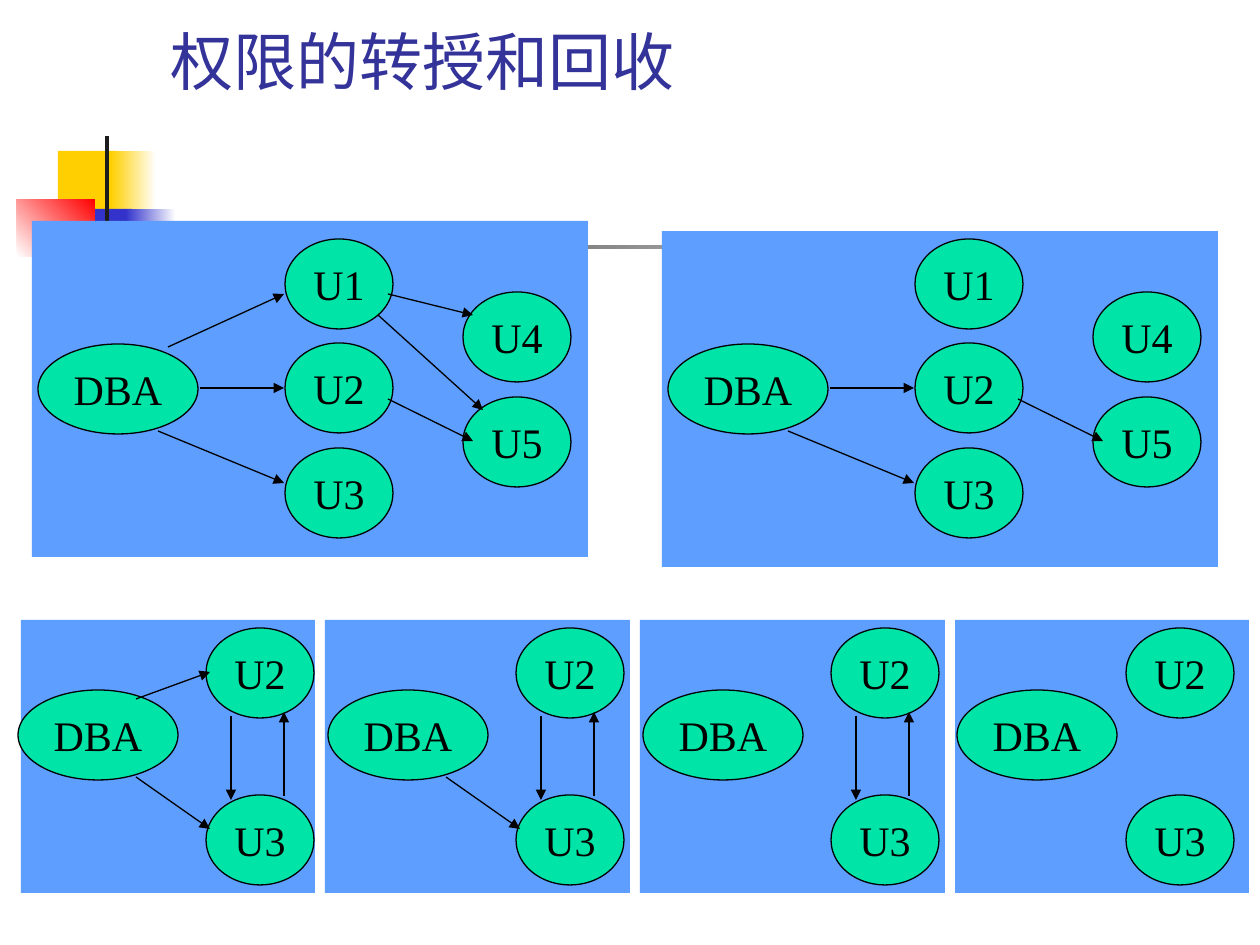
from dataclasses import dataclass

import pptx
import pptx.dml.color
import pptx.enum.dml
import pptx.enum.shapes
import pptx.enum.text
import pptx.oxml.ns
import pptx.util
from lxml import etree

RGBColor = pptx.dml.color.RGBColor
WHITE = RGBColor(0xFF, 0xFF, 0xFF)
BLACK = RGBColor(0x00, 0x00, 0x00)
CHARCOAL = RGBColor(0x1C, 0x1C, 0x1C)
YELLOW = RGBColor(0xFF, 0xCF, 0x01)
BLUE = RGBColor(0x33, 0x33, 0xCC)
RED = RGBColor(0xFF, 0x00, 0x00)
PANEL_BLUE = RGBColor(0x5E, 0x9E, 0xFF)
NODE_GREEN = RGBColor(0x00, 0xE4, 0xA8)
TITLE_BLUE = RGBColor(0x33, 0x33, 0x99)

PX_PER_INCH = 126
NODE_HEIGHT = 90
DBA_WIDTH = 160
USER_WIDTH = 108
LINE_WIDTH = pptx.util.Pt(0.75)


@dataclass(frozen=True)
class Box:
    left: int
    top: int
    width: int
    height: int


@dataclass(frozen=True)
class Decoration:
    box: Box
    start: RGBColor
    end: RGBColor | None = None
    angle: int = 0


@dataclass(frozen=True)
class Node:
    name: str
    left: int
    top: int


@dataclass(frozen=True)
class Arrow:
    start_x: int
    start_y: int
    end_x: int
    end_y: int


@dataclass(frozen=True)
class Diagram:
    """A panel and its grant graph; offsets shift the graph from the first one in its row."""
    panel: Box
    nodes: tuple[Node, ...]
    arrows: tuple[Arrow, ...]
    offset: int = 0
    user_offset: int = 0


DECORATIONS = (
    Decoration(Box(58, 151, 60, 66), YELLOW),
    Decoration(Box(111, 151, 45, 66), YELLOW, WHITE),
    Decoration(Box(74, 209, 58, 66), BLUE),
    Decoration(Box(126, 209, 50, 66), BLUE, WHITE),
    Decoration(Box(17, 199, 78, 58), WHITE, RED, 45),
    Decoration(Box(105, 136, 4, 145), CHARCOAL),
    Decoration(Box(60, 245, 1134, 4), CHARCOAL, WHITE),
)

TREE_NODES = (
    Node("DBA", 38, 344),
    Node("U1", 285, 239),
    Node("U2", 285, 343),
    Node("U3", 285, 448),
    Node("U4", 463, 292),
    Node("U5", 463, 397),
)
TREE_DBA_U1 = Arrow(168, 347, 284, 294)
TREE_DBA_U2 = Arrow(200, 388, 284, 388)
TREE_DBA_U3 = Arrow(158, 431, 284, 483)
TREE_U1_U4 = Arrow(388, 294, 473, 315)
TREE_U2_U5 = Arrow(388, 399, 473, 441)
TREE_U1_U5 = Arrow(378, 315, 483, 410)
TREE_KEPT = (TREE_DBA_U2, TREE_DBA_U3, TREE_U2_U5)

CYCLE_NODES = (Node("DBA", 18, 690), Node("U2", 206, 628), Node("U3", 206, 795))
CYCLE_DBA_U3 = Arrow(136, 777, 210, 829)
CYCLE_DBA_U2 = Arrow(136, 699, 210, 672)
CYCLE_MUTUAL = (Arrow(231, 716, 231, 800), Arrow(284, 796, 284, 712))

DIAGRAMS = (
    Diagram(Box(32, 221, 556, 336), TREE_NODES,
            (TREE_DBA_U1, TREE_U1_U4, TREE_U1_U5) + TREE_KEPT),
    Diagram(Box(662, 231, 556, 336), TREE_NODES, TREE_KEPT, 630),
    Diagram(Box(21, 620, 294, 273), CYCLE_NODES,
            (CYCLE_DBA_U3, CYCLE_DBA_U2) + CYCLE_MUTUAL),
    Diagram(Box(325, 620, 305, 273), CYCLE_NODES, (CYCLE_DBA_U3,) + CYCLE_MUTUAL, 310),
    Diagram(Box(640, 620, 305, 273), CYCLE_NODES, CYCLE_MUTUAL, 625),
    Diagram(Box(955, 620, 294, 273), CYCLE_NODES, (), 939, -19),
)


def emu(px: int) -> int:
    return round(px * pptx.util.Inches(1) / PX_PER_INCH)


def add_plain_shape(shapes, kind, box: Box, color: RGBColor):
    shape = shapes.add_shape(
        kind, emu(box.left), emu(box.top), emu(box.width), emu(box.height))
    shape.shadow.inherit = False
    shape.fill.solid()
    shape.fill.fore_color.rgb = color
    shape.line.fill.background()
    return shape


def add_rectangle(shapes, box: Box, color: RGBColor):
    return add_plain_shape(shapes, pptx.enum.shapes.MSO_SHAPE.RECTANGLE, box, color)


def add_decoration(shapes, decoration: Decoration) -> None:
    shape = add_rectangle(shapes, decoration.box, decoration.start)
    if decoration.end is not None:
        shape.fill.gradient()
        shape.fill.gradient_angle = decoration.angle
        colors = (decoration.start, decoration.end)
        for stop, color in zip(shape.fill.gradient_stops, colors):
            stop.color.rgb = color


def add_node(shapes, node: Node, offset: int, user_offset: int) -> None:
    is_dba = node.name == "DBA"
    left = node.left + offset + (0 if is_dba else user_offset)
    width = DBA_WIDTH if is_dba else USER_WIDTH
    box = Box(left, node.top, width, NODE_HEIGHT)
    shape = add_plain_shape(shapes, pptx.enum.shapes.MSO_SHAPE.OVAL, box, NODE_GREEN)
    shape.line.color.rgb = BLACK
    shape.line.width = LINE_WIDTH
    text_frame = shape.text_frame
    text_frame.text = node.name
    text_frame.word_wrap = False
    text_frame.vertical_anchor = pptx.enum.text.MSO_ANCHOR.MIDDLE
    paragraph = text_frame.paragraphs[0]
    paragraph.alignment = pptx.enum.text.PP_ALIGN.CENTER
    format_font(paragraph.runs[0].font, "Times New Roman", 24, BLACK)


def add_arrow(shapes, arrow: Arrow, offset: int) -> None:
    connector = shapes.add_connector(
        pptx.enum.shapes.MSO_CONNECTOR.STRAIGHT,
        emu(arrow.start_x + offset), emu(arrow.start_y),
        emu(arrow.end_x + offset), emu(arrow.end_y))
    connector.line.color.rgb = BLACK
    connector.line.width = LINE_WIDTH
    qn = pptx.oxml.ns.qn
    etree.SubElement(connector.line._get_or_add_ln(), qn("a:tailEnd"), type="triangle")
    etree.SubElement(connector._element.spPr, qn("a:effectLst"))


def format_font(font, name: str, size: int, color: RGBColor) -> None:
    font.name = name
    font.size = pptx.util.Pt(size)
    font.color.rgb = color


def set_title(title) -> None:
    title.left, title.top, title.width, title.height = map(emu, (158, 94, 1071, 84))
    text_frame = title.text_frame
    text_frame.text = "权限的转授和回收"
    text_frame.auto_size = pptx.enum.text.MSO_AUTO_SIZE.NONE
    text_frame.vertical_anchor = pptx.enum.text.MSO_ANCHOR.BOTTOM
    text_frame.margin_top = 0
    text_frame.margin_bottom = emu(80)
    paragraph = text_frame.paragraphs[0]
    paragraph.alignment = pptx.enum.text.PP_ALIGN.LEFT
    format_font(paragraph.runs[0].font, "Roboto", 36, TITLE_BLUE)


def main() -> None:
    presentation = pptx.Presentation()
    presentation.slide_width = emu(1260)
    presentation.slide_height = emu(945)
    slide = presentation.slides.add_slide(presentation.slide_layouts[5])
    set_title(slide.shapes.title)
    for decoration in DECORATIONS:
        add_decoration(slide.shapes, decoration)
    for diagram in DIAGRAMS:
        add_rectangle(slide.shapes, diagram.panel, PANEL_BLUE)
    for diagram in DIAGRAMS:
        group = slide.shapes.add_group_shape()
        for node in diagram.nodes:
            add_node(group.shapes, node, diagram.offset, diagram.user_offset)
        for arrow in diagram.arrows:
            add_arrow(group.shapes, arrow, diagram.offset)
    presentation.save("out.pptx")


if __name__ == "__main__":
    main()
